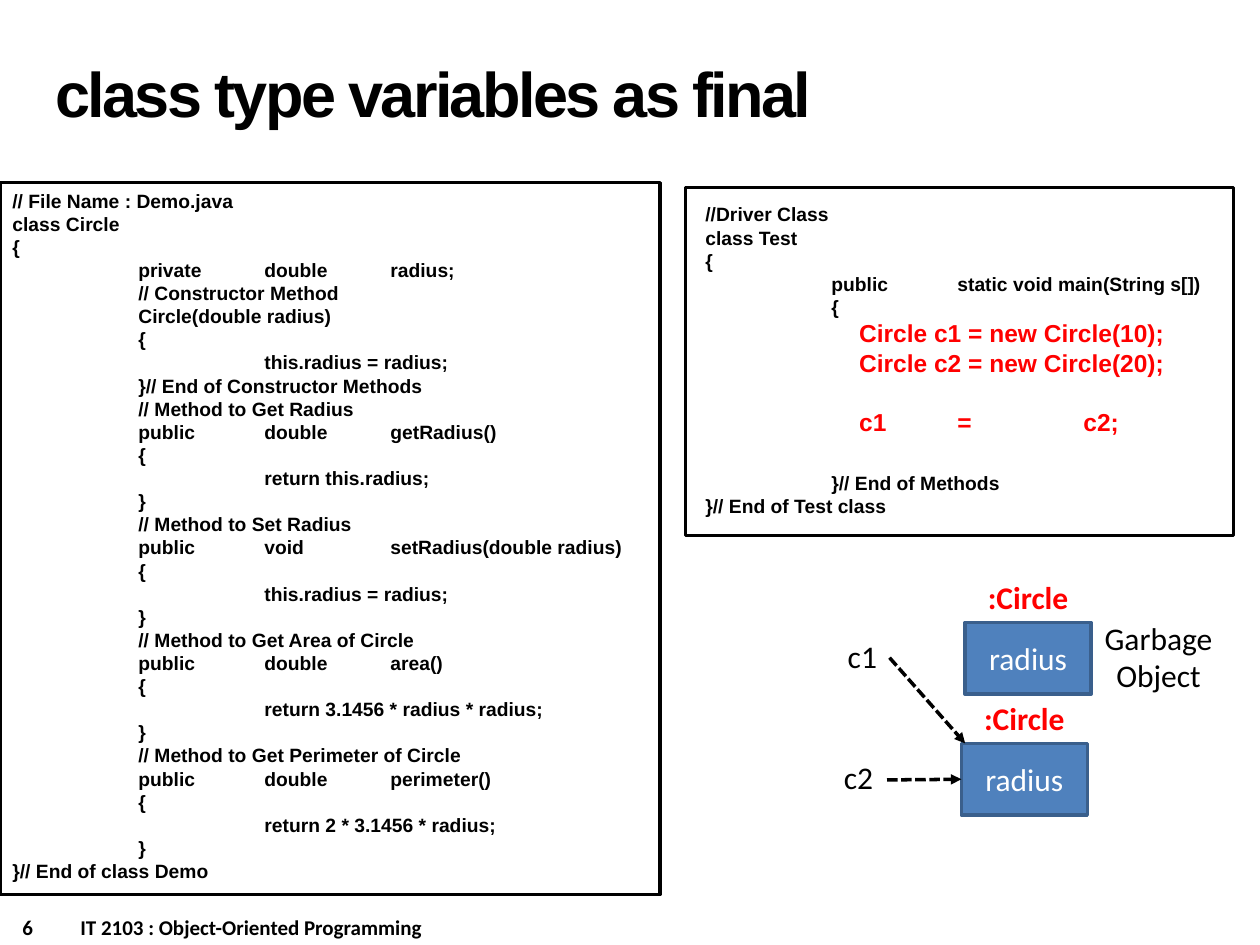
"""Build the slide on class type variables declared as final."""
from dataclasses import dataclass

from lxml import etree
from pptx import Presentation
from pptx import util as u
from pptx.dml.color import RGBColor
from pptx.enum import dml, shapes, text
from pptx.oxml import ns

PX = 9144
COLORS = {"ink": "000000", "accent": "FF0000", "fill": "4F81BD",
          "edge": "3A5F8C", "paper": "FFFFFF"}

CIRCLE_CODE = """// File Name : Demo.java
class Circle
{
\tprivate\tdouble\tradius;
\t// Constructor Method
\tCircle(double radius)
\t{
\t\tthis.radius = radius;
\t}// End of Constructor Methods
\t// Method to Get Radius
\tpublic\tdouble\tgetRadius()
\t{
\t\treturn this.radius;
\t}
\t// Method to Set Radius
\tpublic\tvoid\tsetRadius(double radius)
\t{
\t\tthis.radius = radius;
\t}
\t// Method to Get Area of Circle
\tpublic\tdouble\tarea()
\t{
\t\treturn 3.1456 * radius * radius;
\t}
\t// Method to Get Perimeter of Circle
\tpublic\tdouble\tperimeter()
\t{
\t\treturn 2 * 3.1456 * radius;
\t}
}// End of class Demo"""

TEST_CODE = """//Driver Class
class Test
{
\tpublic\tstatic void main(String s[])
\t{
\tCircle c1 = new Circle(10);
\tCircle c2 = new Circle(20);
\tc1\t=\tc2;
\t}// End of Methods
}// End of Test class"""
STATEMENTS = range(5, 8)
GAPS = {7: 17, 8: 20}
CODE_TABS = (100, 200, 300)
STATEMENT_TABS = (122, 200, 300)


@dataclass
class Box:
    x: int
    y: int
    w: int
    h: int


@dataclass
class Style:
    size: int = 18
    font: str = "Calibri"
    color: str = "ink"
    bold: bool = False
    center: bool = False


@dataclass
class Instance:
    box: Box
    variable: Box
    name: str


CODE = Style(11, "Arial", bold=True)
STATEMENT = Style(14, "Arial", "accent", bold=True)
INSTANCES = [
    Instance(Box(766, 494, 100, 57), Box(663, 501, 44, 40), "c1"),
    Instance(Box(763, 590, 100, 57), Box(660, 597, 44, 40), "c2"),
]


def rgb(name: str) -> RGBColor:
    return RGBColor.from_string(COLORS[name])


def emu(box: Box) -> list[int]:
    return [v * PX for v in (box.x, box.y, box.w, box.h)]


def format_paragraph(p, style: Style) -> None:
    p.alignment = text.PP_ALIGN.CENTER if style.center else text.PP_ALIGN.LEFT
    for r in p.runs:
        r.font.size = u.Pt(style.size)
        r.font.name = style.font
        r.font.bold = style.bold
        r.font.color.rgb = rgb(style.color)


def set_tabs(p, *stops: int) -> None:
    tabs = etree.SubElement(p._p.get_or_add_pPr(), ns.qn("a:tabLst"))
    for stop in stops:
        etree.SubElement(tabs, ns.qn("a:tab"), pos=str(stop * PX), algn="l")


def add_text(slide, box: Box, content: str, style: Style, wrap: bool = True):
    tf = slide.shapes.add_textbox(*emu(box)).text_frame
    tf.word_wrap = wrap
    tf.text = content
    for p in tf.paragraphs:
        format_paragraph(p, style)
    return tf


def add_rect(slide, box: Box, line: str, fill: str | None = None):
    sp = slide.shapes.add_shape(shapes.MSO_SHAPE.RECTANGLE, *emu(box))
    sp.shadow.inherit = False
    sp.line.color.rgb = rgb(line)
    sp.line.width = u.Pt(2)
    if fill:
        sp.fill.solid()
        sp.fill.fore_color.rgb = rgb(fill)
    else:
        sp.fill.background()
    return sp


def add_arrow(slide, x1: int, y1: int, x2: int, y2: int):
    cx = slide.shapes.add_connector(
        shapes.MSO_CONNECTOR.STRAIGHT, x1 * PX, y1 * PX, x2 * PX, y2 * PX)
    cx.line.color.rgb = rgb("ink")
    cx.line.width = u.Pt(2)
    cx.line.dash_style = dml.MSO_LINE.SQUARE_DOT
    etree.SubElement(cx.line._get_or_add_ln(), ns.qn("a:tailEnd"), type="triangle")
    etree.SubElement(cx._element.spPr, ns.qn("a:effectLst"))
    return cx


def add_instance(slide, item: Instance):
    box = item.box
    add_text(slide, item.variable, item.name, Style(), wrap=False)
    sp = add_rect(slide, box, "edge", "fill")
    tf = sp.text_frame
    tf.text = "radius"
    tf.vertical_anchor = text.MSO_ANCHOR.MIDDLE
    format_paragraph(tf.paragraphs[0], Style(color="paper", center=True))
    add_text(slide, Box(box.x, box.y - 40, box.w, 40), ":Circle",
             Style(color="accent", bold=True, center=True))
    return sp


def main() -> None:
    prs = Presentation()
    prs.slide_width, prs.slide_height = 1000 * PX, 750 * PX
    s = prs.slides.add_slide(prs.slide_layouts[6])

    tf = add_text(s, Box(8, 721, 500, 30), "6\tIT 2103 : Object-Oriented Programming",
                  Style(12, bold=True))
    set_tabs(tf.paragraphs[0], 46)

    tf = add_text(s, Box(34, 16, 692, 125), "class type variables as final",
                  Style(36, "Arial", bold=True))
    tf.vertical_anchor = text.MSO_ANCHOR.MIDDLE
    p = tf.paragraphs[0]
    p.line_spacing = u.Pt(36)
    p.runs[0].font._element.set("spc", "-150")

    tf = add_text(s, Box(0, 145, 508, 565), CIRCLE_CODE, CODE)
    for p in tf.paragraphs:
        set_tabs(p, *CODE_TABS)
    add_rect(s, Box(0, 145, 524, 565), "ink")

    tf = add_text(s, Box(550, 156, 429, 263), TEST_CODE, CODE)
    for i, p in enumerate(tf.paragraphs):
        if i in GAPS:
            p.space_before = u.Pt(GAPS[i])
        if i in STATEMENTS:
            format_paragraph(p, STATEMENT)
        set_tabs(p, *(STATEMENT_TABS if i in STATEMENTS else CODE_TABS))
    add_rect(s, Box(544, 149, 435, 276), "ink")

    _, kept = [add_instance(s, item) for item in INSTANCES]
    add_arrow(s, 706, 522, 766, 590)
    add_arrow(s, 704, 619, 763, 619).end_connect(kept, 1)
    add_text(s, Box(866, 486, 107, 71), "Garbage\nObject", Style(center=True), wrap=False)

    prs.save("out.pptx")


if __name__ == "__main__":
    main()
